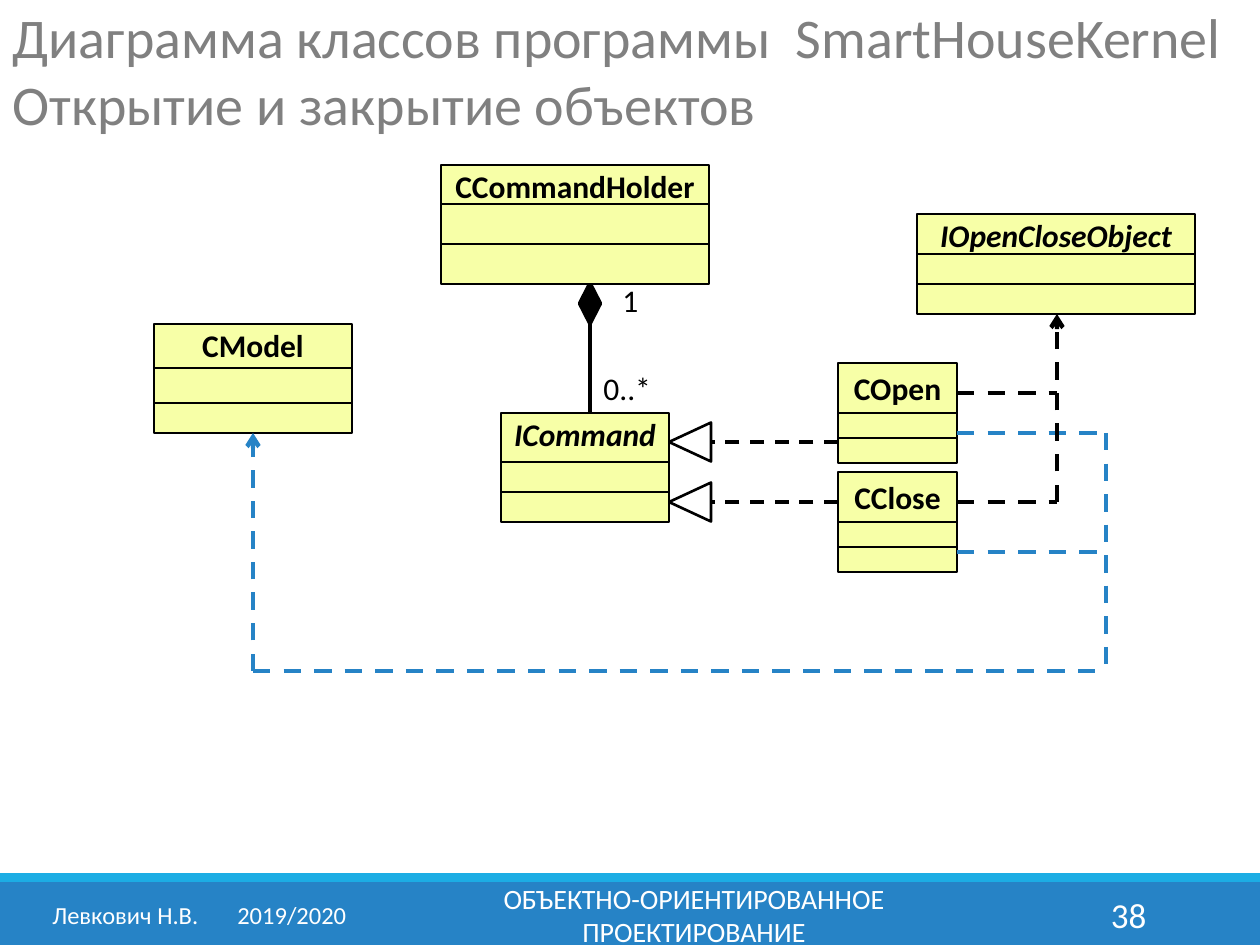
from dataclasses import dataclass

from lxml import etree
from pptx import Presentation
from pptx import util as u
from pptx.dml.color import RGBColor
from pptx.enum import dml, shapes, text
from pptx.oxml.ns import qn

EMU_PER_PX = 914400 / 126
KIND = shapes.MSO_SHAPE
LEFT, CENTER, RIGHT = text.PP_ALIGN.LEFT, text.PP_ALIGN.CENTER, text.PP_ALIGN.RIGHT
MIDDLE, TOP = text.MSO_ANCHOR.MIDDLE, text.MSO_ANCHOR.TOP


@dataclass(frozen=True)
class Theme:
    font: str = "Calibri"
    black: str = "000000"
    white: str = "FFFFFF"
    gray: str = "808080"
    blue: str = "2683C6"
    cyan: str = "1CADE4"
    yellow: str = "F7FFA7"
    title: int = 32
    number: int = 20
    label: int = 18
    course: int = 16
    author: int = 14


THEME = Theme()


def px(*lengths):
    return [u.Emu(round(length * EMU_PER_PX)) for length in lengths]


def rgb(color):
    return RGBColor.from_string(color)


def write(box, lines, size, color, align=LEFT, anchor=TOP, wrap=True,
          bold=False, italic=False, spacing=None):
    frame = box.text_frame
    frame.word_wrap = wrap
    frame.auto_size = text.MSO_AUTO_SIZE.NONE
    frame.vertical_anchor = anchor
    for index, line in enumerate(lines):
        para = frame.add_paragraph() if index else frame.paragraphs[0]
        para.alignment = align
        if spacing:
            para.line_spacing = spacing
        span = para.add_run()
        span.text = line
        font = span.font
        font.name, font.size = THEME.font, u.Pt(size)
        font.bold, font.italic = bold, italic
        font.color.rgb = rgb(color)


def add_text(page, area, words, size, color, **style):
    box = page.shapes.add_textbox(*px(*area))
    write(box, [words], size, color, **style)
    return box


def add_figure(parent, kind, area, fill, border=None):
    figure = parent.shapes.add_shape(kind, *px(*area))
    figure.shadow.inherit = False
    figure.fill.solid()
    figure.fill.fore_color.rgb = rgb(fill)
    if border:
        figure.line.color.rgb = rgb(THEME.black)
        figure.line.width = u.Pt(border)
    else:
        figure.line.fill.background()
    return figure


def add_line(parent, start, end, width, color=THEME.black, dashed=False, arrow=False):
    line = parent.shapes.add_connector(
        shapes.MSO_CONNECTOR.STRAIGHT, *px(*start, *end))
    line.line.color.rgb = rgb(color)
    line.line.width = u.Pt(width)
    if dashed:
        line.line.dash_style = dml.MSO_LINE.DASH
    properties = line._element.spPr
    if arrow:
        etree.SubElement(properties.find(qn("a:ln")), qn("a:tailEnd"), type="arrow")
    etree.SubElement(properties, qn("a:effectLst"))


def add_class(page, name, left, top, width, rows, italic=False, spacing=0.9):
    """Draw a UML class whose compartments have the given heights."""
    group = page.shapes.add_group_shape()
    box = add_figure(group, KIND.RECTANGLE, (left, top, width, sum(rows)),
                     THEME.yellow, 1.25)
    write(box, [name], THEME.label, THEME.black, align=CENTER, wrap=False,
          bold=True, italic=italic, spacing=spacing)
    y = top
    for row in rows[:-1]:
        y += row
        add_line(group, (left, y), (left + width, y), 1.5)


def add_realization(page, start, tip):
    """Draw a dashed line that ends in a hollow triangle pointing left."""
    group = page.shapes.add_group_shape()
    add_line(group, start, tip, 2, dashed=True)
    width, height = 39, 42
    x, y = tip[0] + height / 2, tip[1]
    triangle = add_figure(group, KIND.ISOSCELES_TRIANGLE,
                          (x - width / 2, y - height / 2, width, height),
                          THEME.white, 1.5)
    triangle.rotation = 270


def add_composition(page, whole, part):
    """Draw a line with a solid diamond at the whole."""
    group = page.shapes.add_group_shape()
    add_line(group, part, whole, 2)
    width, height = 20, 39
    add_figure(group, KIND.DIAMOND, (whole[0] - width / 2, whole[1], width, height),
               THEME.black, 2.5)


def add_title(page, lines):
    title = page.shapes.title
    title.left, title.top, title.width, title.height = px(0, -4, 1260, 149)
    write(title, lines, THEME.title, THEME.gray)


def add_footer(page):
    add_figure(page, KIND.RECTANGLE, (0, 882, 1260, 63), THEME.blue)
    add_figure(page, KIND.RECTANGLE, (0, 873, 1260, 9), THEME.cyan)
    author = add_text(page, (40, 890, 329, 50), "Левкович Н.В.\t2019/2020",
                      THEME.author, THEME.white, anchor=MIDDLE)
    properties = author.text_frame.paragraphs[0]._p.get_or_add_pPr()
    tabs = etree.SubElement(properties, qn("a:tabLst"))
    etree.SubElement(tabs, qn("a:tab"), pos=str(px(185)[0]), algn="l")
    add_text(page, (381, 890, 626, 50), "ОБЪЕКТНО-ОРИЕНТИРОВАННОЕ ПРОЕКТИРОВАНИЕ",
             THEME.course, THEME.white, align=CENTER, anchor=MIDDLE)
    add_text(page, (1023, 890, 136, 50), "38", THEME.number, THEME.white,
             align=RIGHT, anchor=MIDDLE)


def add_classes(page):
    add_class(page, "CCommandHolder", 441, 165, 268, (39, 40, 40))
    add_class(page, "ICommand", 501, 413, 168, (49, 30, 30), italic=True)
    add_class(page, "CModel", 154, 324, 198, (44, 35, 30))
    add_class(page, "IOpenCloseObject", 917, 214, 278, (40, 30, 30), italic=True)
    for name, top in (("COpen", 363), ("CClose", 472)):
        add_class(page, name, 838, top, 119, (50, 25, 25), spacing=None)


def add_dependencies(page):
    commands, model, model_bus, target = 957, 253, 1106, 1057
    bottom = 671
    routes = {
        THEME.blue: [((commands, 433), (model_bus, 433)),
                     ((commands, 552), (model_bus, 552)),
                     ((model_bus, 433), (model_bus, bottom)),
                     ((model, bottom), (model_bus, bottom)),
                     ((model, bottom), (model, 433))],
        THEME.black: [((commands, 393), (target, 393)),
                      ((commands, 502), (target, 502)),
                      ((target, 502), (target, 314))],
    }
    for color, route in routes.items():
        for start, end in route:
            add_line(page, start, end, 2.5, color, dashed=True,
                     arrow=(start, end) == route[-1])


def main():
    deck = Presentation()
    deck.slide_width, deck.slide_height = px(1260, 945)
    page = deck.slides.add_slide(deck.slide_layouts[5])
    add_title(page, ["Диаграмма классов программы  SmartHouseKernel",
                     "Открытие и закрытие объектов"])
    add_footer(page)
    for y in (442, 502):
        add_realization(page, (838, y), (669, y))
    add_composition(page, (590, 284), (590, 413))
    add_classes(page)
    add_text(page, (610, 275, 39, 50), "1", THEME.label, THEME.black)
    add_text(page, (591, 363, 89, 50), "0..*", THEME.label, THEME.black)
    add_dependencies(page)
    deck.save("out.pptx")


if __name__ == "__main__":
    main()
